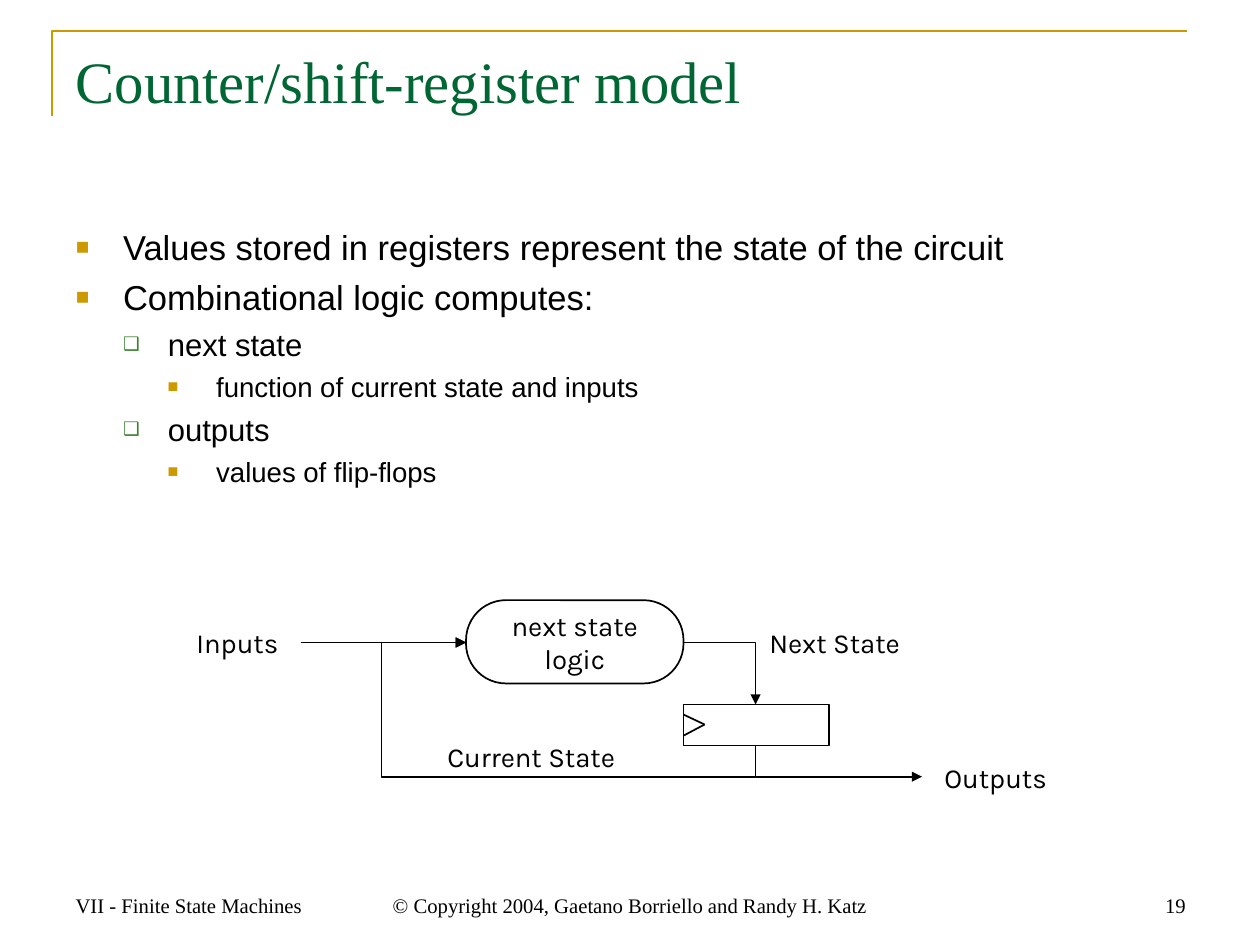
"""Build the counter/shift-register model slide."""
from lxml.etree import SubElement
from pptx import Presentation
from pptx.dml.color import RGBColor
from pptx.enum.shapes import MSO_CONNECTOR, MSO_SHAPE
from pptx.enum.text import MSO_ANCHOR, MSO_AUTO_SIZE, PP_ALIGN
from pptx.oxml.ns import qn
from pptx.util import Inches, Pt

THEME = {
    "gold": "CC9900", "title": "006633", "green": "3B812F", "ink": "000000",
    "serif": "Times New Roman", "sans": "Arial", "label": "Karla",
    "title_size": 34, "label_size": 16, "footer_size": 12,
    "levels": [
        {"size": 20, "before": 5, "left": 0.38, "hang": 0.38, "char": "■", "color": "gold", "pct": 65},
        {"size": 18, "before": 4.5, "left": 0.74, "hang": 0.36, "char": "❑", "color": "green", "pct": 60},
        {"size": 16, "before": 4, "left": 1.13, "hang": 0.39, "char": "■", "color": "gold", "pct": 65},
    ],
}


def format_text(tf, font, size, color="ink", align=PP_ALIGN.LEFT,
                anchor=MSO_ANCHOR.TOP, margins=(0.1, 0.05)):
    """Apply the frame layout and font to every paragraph."""
    tf.word_wrap = True
    tf.auto_size = MSO_AUTO_SIZE.NONE
    tf.vertical_anchor = anchor
    tf.margin_left = tf.margin_right = Inches(margins[0])
    tf.margin_top = tf.margin_bottom = Inches(margins[1])
    for p in tf.paragraphs:
        p.alignment = align
        for r in p.runs:
            r.font.name = font
            r.font.size = Pt(size)
            r.font.color.rgb = RGBColor.from_string(THEME[color])


def format_line(sp, color="ink", width=1, arrow=False):
    """Set a flat outline, optionally ending in an arrowhead."""
    sp.line.color.rgb = RGBColor.from_string(THEME[color])
    sp.line.width = Pt(width)
    spPr = sp._element.spPr
    if arrow:
        SubElement(spPr.find(qn("a:ln")), qn("a:tailEnd"), type="triangle")
    SubElement(spPr, qn("a:effectLst"))


prs = Presentation()
prs.slide_width, prs.slide_height = Pt(730), Pt(547.5)
s = prs.slides.add_slide(prs.slide_layouts[1])

title, body = s.placeholders
title.left, title.top, title.width, title.height = map(Inches, (0.51, 0.31, 9.12, 1.26))
title.text_frame.text = "Counter/shift-register model"
format_text(title.text_frame, THEME["serif"], THEME["title_size"], "title")

body.left, body.top, body.width, body.height = map(Inches, (0.51, 1.77, 9.12, 5.02))
outline = [
    (0, "Values stored in registers represent the state of the circuit"),
    (0, "Combinational logic computes:"),
    (1, "next state"),
    (2, "function of current state and inputs"),
    (1, "outputs"),
    (2, "values of flip-flops"),
]
tf = body.text_frame
tf.text = "\n".join(text for _, text in outline)
format_text(tf, THEME["sans"], THEME["levels"][0]["size"])
for i, (p, (level, _)) in enumerate(zip(tf.paragraphs, outline)):
    style = THEME["levels"][level]
    p.level = level
    pPr = p._p.get_or_add_pPr()
    pPr.set("marL", str(Inches(style["left"])))
    pPr.set("indent", str(-Inches(style["hang"])))
    SubElement(SubElement(pPr, qn("a:buClr")), qn("a:srgbClr"), val=THEME[style["color"]])
    SubElement(pPr, qn("a:buSzPct"), val=str(style["pct"] * 1000))
    SubElement(pPr, qn("a:buFont"), typeface=THEME["sans"])
    SubElement(pPr, qn("a:buChar"), char=style["char"])
    p.space_before = Pt(style["before"] if i else 0)
    p.runs[0].font.size = Pt(style["size"])

for text, x, y, w, align in [
    ("Inputs", 1.25, 5.08, 1.01, PP_ALIGN.RIGHT),
    ("Outputs", 7.58, 6.17, 1.44, PP_ALIGN.LEFT),
    ("Next State", 6.17, 5.08, 1.29, PP_ALIGN.LEFT),
    ("Current State", 3.58, 6, 1.53, PP_ALIGN.LEFT),
]:
    tf = s.shapes.add_textbox(Inches(x), Inches(y), Inches(w), Inches(0.33)).text_frame
    tf.text = text
    format_text(tf, THEME["label"], THEME["label_size"], align=align, margins=(0.02, 0.03))
    tf.paragraphs[0].line_spacing = Pt(13.9)

register = s.shapes.add_shape(MSO_SHAPE.RECTANGLE, Inches(5.5), Inches(5.67), Inches(1.17), Inches(0.33))
logic = s.shapes.add_shape(MSO_SHAPE.ROUNDED_RECTANGLE, Inches(3.75), Inches(4.83), Inches(1.75), Inches(0.67))
logic.adjustments[0] = 0.48
for sp in (register, logic):
    sp.fill.background()
    format_line(sp)
logic.text_frame.text = "next state\vlogic"
format_text(logic.text_frame, THEME["label"], THEME["label_size"],
            align=PP_ALIGN.CENTER, anchor=MSO_ANCHOR.MIDDLE)

for x1, y1, x2, y2, arrow in [
    (5.5, 5.75, 5.67, 5.83, False),
    (5.5, 5.92, 5.67, 5.83, False),
    (6.08, 6.25, 7.42, 6.25, True),
    (2.42, 5.17, 3.75, 5.17, True),
]:
    sp = s.shapes.add_connector(MSO_CONNECTOR.STRAIGHT, Inches(x1), Inches(y1), Inches(x2), Inches(y2))
    format_line(sp, arrow=arrow)

for points, color, width, arrow in [
    ([(0.42, 0.93), (0.42, 0.25), (9.55, 0.25)], "gold", 1.5, False),
    ([(5.5, 5.17), (6.08, 5.17), (6.08, 5.67)], "ink", 1, True),
    ([(6.08, 6), (6.08, 6.25), (3.07, 6.25), (3.07, 5.17), (3.75, 5.17)], "ink", 1, True),
]:
    start, *rest = [(Inches(x), Inches(y)) for x, y in points]
    route = s.shapes.build_freeform(*start)
    route.add_line_segments(rest, close=False)
    sp = route.convert_to_shape()
    sp.fill.background()
    format_line(sp, color, width, arrow)

for text, x, w, align in [
    ("VII - Finite State Machines", 0.51, 2.37, PP_ALIGN.LEFT),
    ("© Copyright 2004, Gaetano Borriello and Randy H. Katz", 2.96, 4.22, PP_ALIGN.CENTER),
    ("19", 7.27, 2.37, PP_ALIGN.RIGHT),
]:
    tf = s.shapes.add_textbox(Inches(x), Inches(6.92), Inches(w), Inches(0.51)).text_frame
    tf.text = text
    format_text(tf, THEME["serif"], THEME["footer_size"], align=align, anchor=MSO_ANCHOR.BOTTOM)

prs.save("out.pptx")
